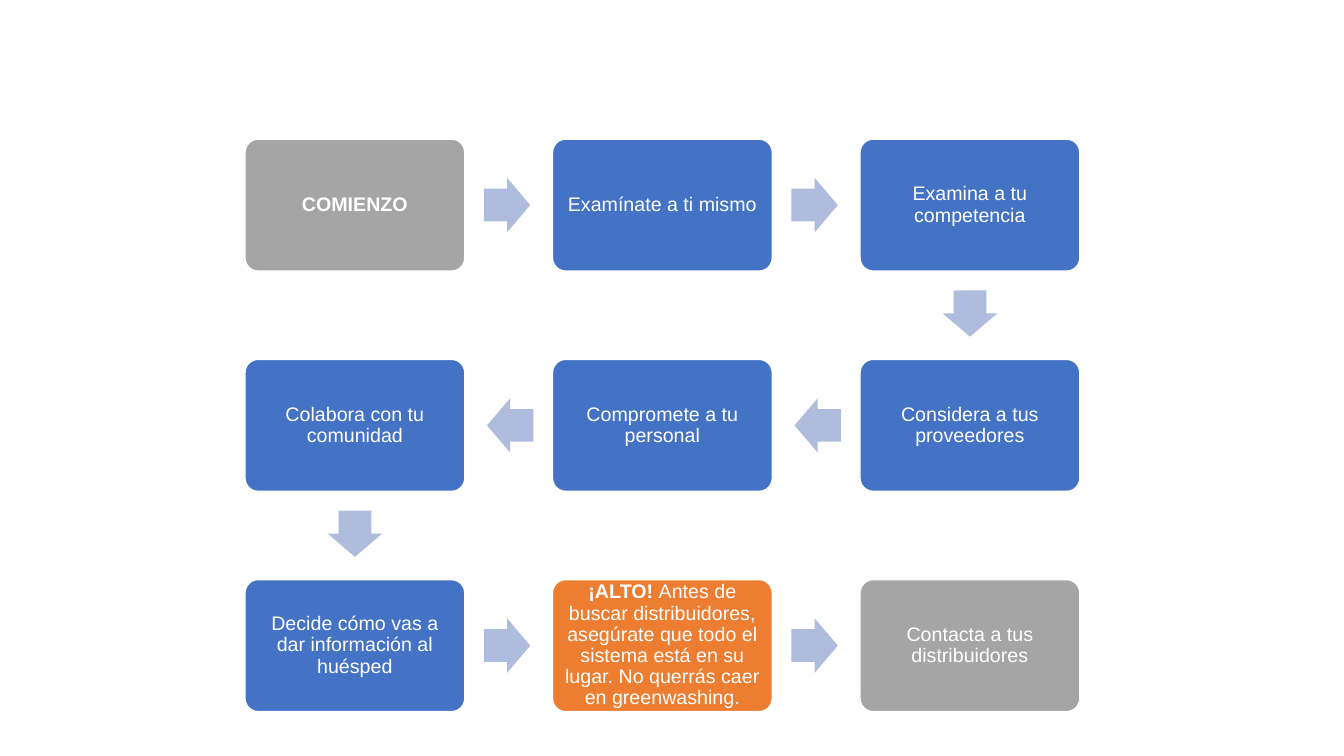
from pptx import Presentation
from pptx.dml.color import RGBColor
from pptx.enum.shapes import MSO_SHAPE
from pptx.enum.text import MSO_ANCHOR, PP_ALIGN
from pptx.util import Inches, Pt

BOX = MSO_SHAPE.ROUNDED_RECTANGLE
ARROW = MSO_SHAPE.RIGHT_ARROW
MIDDLE = MSO_ANCHOR.MIDDLE
CENTER = PP_ALIGN.CENTER

GREY, BLUE, ORANGE = "A5A5A5", "4472C4", "ED7D31"
WHITE, PALE_BLUE = "FFFFFF", "B0BCDE"

COLUMNS = 3
STEP_W, STEP_H = 2.18, 1.31
ARROW_W, ARROW_H = 0.46, 0.54
ARROW_GAP = 0.19

INSET = Inches(0.06)
FRAME_FORMAT = {
    "word_wrap": True, "vertical_anchor": MIDDLE,
    "margin_left": INSET, "margin_right": INSET,
    "margin_top": INSET, "margin_bottom": INSET,
}
PARAGRAPH_FORMAT = {"alignment": CENTER, "line_spacing": 0.9, "space_after": Pt(5)}
FONT_FORMAT = {"name": "Arial", "size": Pt(14)}

STEPS = [
    (GREY, "COMIENZO", ""),
    (BLUE, "", "Examínate a ti mismo"),
    (BLUE, "", "Examina a tu competencia"),
    (BLUE, "", "Considera a tus proveedores"),
    (BLUE, "", "Compromete a tu personal"),
    (BLUE, "", "Colabora con tu comunidad"),
    (BLUE, "", "Decide cómo vas a dar información al huésped"),
    (ORANGE, "¡ALTO! ", "Antes de buscar distribuidores, asegúrate que todo el "
     "sistema está en su lugar. No querrás caer en greenwashing."),
    (GREY, "", "Contacta a tus distribuidores"),
]


def color(hex_value):
    """Return the colour for a hex string."""
    return RGBColor.from_string(hex_value)


def apply_format(target, values):
    """Set each attribute of the target from a dict."""
    for name, value in values.items():
        setattr(target, name, value)


def add_centered(slide, kind, center, size, fill):
    """Add a filled shape around a center point."""
    (x, y), (width, height) = center, size
    shape = slide.shapes.add_shape(
        kind, Inches(x - width / 2), Inches(y - height / 2),
        Inches(width), Inches(height))
    shape.shadow.inherit = False
    shape.fill.solid()
    shape.fill.fore_color.rgb = color(fill)
    return shape


def add_step(slide, center, fill, lead, body):
    """Add one step box with a bold lead and a plain body."""
    step = add_centered(slide, BOX, center, (STEP_W, STEP_H), fill)
    step.adjustments[0] = 0.1
    step.line.color.rgb = color(WHITE)
    step.line.width = Pt(1)
    apply_format(step.text_frame, FRAME_FORMAT)
    paragraph = step.text_frame.paragraphs[0]
    apply_format(paragraph, PARAGRAPH_FORMAT)
    for wording, bold in ((lead, True), (body, False)):
        if wording:
            run = paragraph.add_run()
            run.text = wording
            apply_format(run.font, FONT_FORMAT)
            run.font.bold = bold
            run.font.color.rgb = color(WHITE)


def add_arrow(slide, start, end):
    """Add an arrow just past the step at start, pointing to the step at end."""
    (x, y), (next_x, next_y) = start, end
    reach = ARROW_GAP + ARROW_W / 2
    if next_y > y:
        center, rotation = (x, y + STEP_H / 2 + reach), 90
    elif next_x > x:
        center, rotation = (x + STEP_W / 2 + reach, y), 0
    else:
        center, rotation = (x - STEP_W / 2 - reach, y), 180
    arrow = add_centered(slide, ARROW, center, (ARROW_W, ARROW_H), PALE_BLUE)
    arrow.adjustments[0] = 0.6
    arrow.adjustments[1] = 0.5
    arrow.rotation = rotation
    arrow.line.fill.background()


def add_process(slide, left, top, width, height):
    """Lay the steps out in a winding path inside the given box."""
    rows = len(STEPS) // COLUMNS
    pitch_x = (width - STEP_W) / (COLUMNS - 1)
    pitch_y = (height - STEP_H) / (rows - 1)
    centers = []
    for index in range(len(STEPS)):
        row, column = divmod(index, COLUMNS)
        if row % 2:
            column = COLUMNS - 1 - column
        centers.append((left + STEP_W / 2 + column * pitch_x,
                        top + STEP_H / 2 + row * pitch_y))
    for center, step in zip(centers, STEPS):
        add_step(slide, center, *step)
    for start, end in zip(centers, centers[1:]):
        add_arrow(slide, start, end)


def main():
    """Build and save the slide."""
    deck = Presentation()
    deck.slide_width, deck.slide_height = Inches(13.33), Inches(7.5)
    slide = deck.slides.add_slide(deck.slide_layouts[6])
    add_process(slide, 2.43, 1.38, 8.28, 5.68)
    deck.save("out.pptx")


if __name__ == "__main__":
    main()
